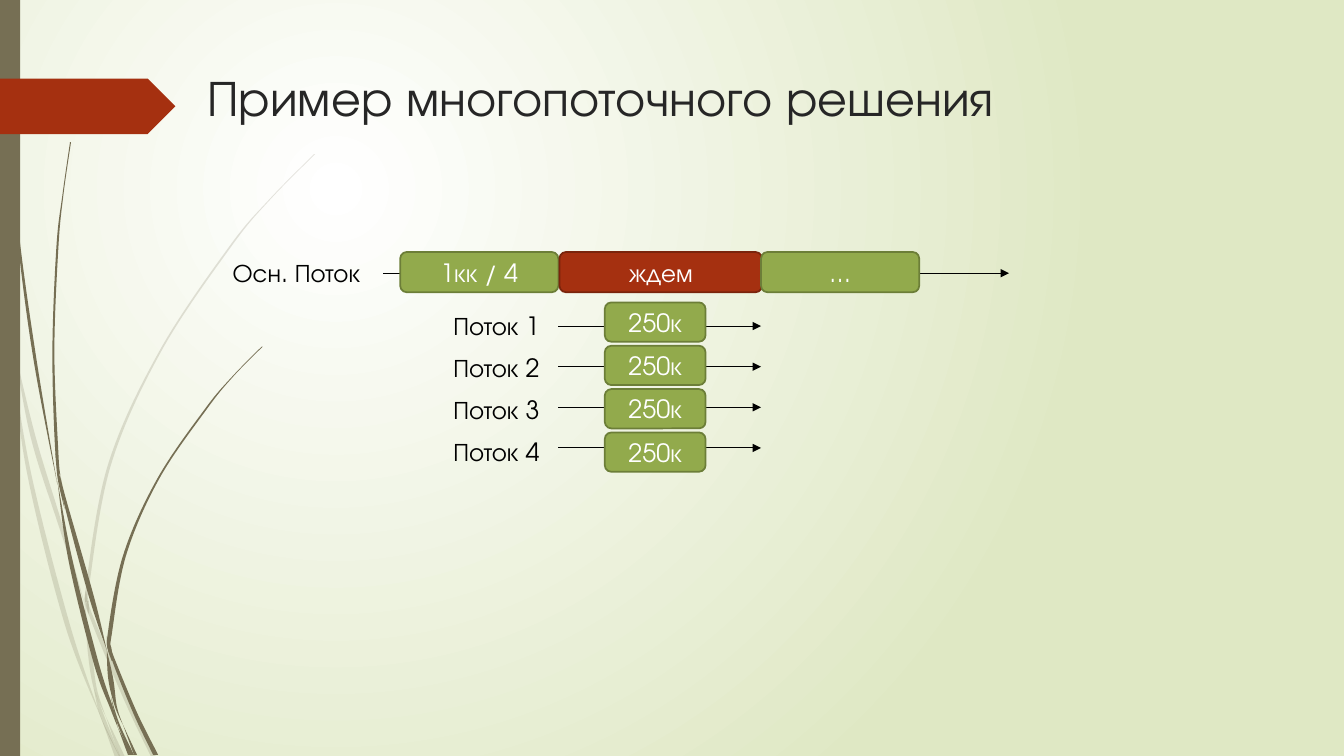
from pptx import Presentation
from pptx.dml.color import RGBColor
from pptx.enum.shapes import MSO_CONNECTOR, MSO_SHAPE
from pptx.enum.text import MSO_ANCHOR, PP_ALIGN
from pptx.oxml.ns import qn
from pptx.util import Emu, Pt
from lxml.etree import SubElement

COLS, ROWS, CELL = 133.33, 75, 91440
FONT = "TeX Gyre Adventor"
GREEN, MOSS, RED, RUST, OLIVE = "92AA4C", "6C7E38", "A53010", "7A240C", "766F54"

FAINT = [
    [(0, 28.2, 0), (0.15, 29.9, 0.3), (0.7, 32.2, 0.4), (1.1, 35, 0)],
    [(1.4, 34.5, 0), (3.3, 43.4, 0.5), (6, 52.1, 0.4), (8.4, 59.9, 0)],
    [(8.8, 59.6, 0), (9, 61, 0.35), (12.5, 69.3, 0.5), (15.25, 75.1, 0.5)],
    [(10.5, 71.1, 0), (12.15, 75.1, 0.5)],
    [(1.1, 35, 0), (2.9, 47, 0.4), (6.7, 62, 0.5), (10.1, 71.4, 0)],
    [(8.4, 59.9, 0), (8.9, 64.6, 0.4), (9.45, 68.3, 0.3), (10.5, 71.1, 0)],
    [(31.2, 15.3, 0.1), (26.8, 19.75, 0.1), (22.85, 24.45, 0.2),
     (15.9, 34.85, 0.2), (10.85, 46.15, 0.3), (8.65, 58.4, 0.3),
     (8.8, 59.6, 0)],
    [(10.1, 71.4, 0), (11.65, 75.1, 0.5)],
    [(8.5, 58.6, 0), (8.6, 59.8, 0.4), (8.8, 61, 0)],
    [(9.3, 68.3, 0), (10.2, 71.2, 0.4), (11.9, 75.1, 0.1)],
]
DARK = [
    [(0.35, 0, 0.1), (0.75, 11, 0.1), (1.8, 23.3, 0.2), (3.45, 35.5, 0.3),
     (5.7, 48.1, 0)],
    [(6, 47.2, 0), (6.4, 49.5, 0.3), (9.05, 59.1, 0.5), (10.6, 64.5, 0)],
    [(11, 64.1, 0), (11.2, 65.3, 0.3), (13.4, 70.7, 0.4), (15.45, 74.9, 0.5)],
    [(5.7, 47.7, 0), (7, 55.6, 0.4), (9.55, 65.8, 0.5), (11.1, 70.3, 0.3),
     (11.7, 72.2, 0)],
    [(7, 14.1, 0.1), (6.25, 19.3, 0.1), (5.7, 24.5, 0.2), (5.3, 34.9, 0.2),
     (5.65, 45, 0.3), (6, 47.2, 0)],
    [(12.2, 71.9, 0), (13.45, 74.9, 0.3)],
    [(5.5, 44.9, 0), (5.85, 47.5, 0.25), (6.4, 50.5, 0)],
    [(26, 34.4, 0.1), (23.1, 37.35, 0.1), (20.45, 40.55, 0.2),
     (15.7, 47.5, 0.2), (12.35, 55.15, 0.3), (10.85, 63.2, 0.4),
     (11, 64.1, 0)],
    [(11.7, 72.2, 0), (12.9, 74.9, 0.4)],
    [(10.6, 64.5, 0), (11, 67.4, 0.5), (11.5, 70.1, 0.2), (12.2, 71.9, 0)],
    [(10.6, 63.1, 0), (10.85, 64.3, 0.4), (11.1, 65.6, 0)],
    [(11, 69.1, 0), (11.75, 71.8, 0.2), (13.15, 74.9, 0.3)],
]


def emu(*cells):
    """Turn grid cells into lengths."""
    return [Emu(round(c * CELL)) for c in cells]


def color(code):
    """Turn a hex string into a colour."""
    return RGBColor.from_string(code)


def write(shape, text, size, ink, wrap=True, center=False):
    """Set the text of a shape and its font."""
    frame = shape.text_frame
    frame.word_wrap = wrap
    frame.vertical_anchor = MSO_ANCHOR.MIDDLE if center else MSO_ANCHOR.TOP
    para = frame.paragraphs[0]
    para.text = text
    para.alignment = PP_ALIGN.CENTER if center else PP_ALIGN.LEFT
    para.font.name, para.font.size = FONT, Pt(size)
    para.font.color.rgb = color(ink)


def paint(shape, fill, edge=None):
    """Fill a shape and draw or drop its outline."""
    shape.shadow.inherit = False
    shape.fill.solid()
    shape.fill.fore_color.rgb = color(fill)
    if edge:
        shape.line.color.rgb = color(edge)
        shape.line.width = Pt(1.25)
    else:
        shape.line.fill.background()


def label(slide, box, text, size=18, ink="000000", wrap=False):
    """Place plain text."""
    write(slide.shapes.add_textbox(*emu(*box)), text, size, ink, wrap)


def block(slide, box, text, fill=GREEN, edge=MOSS):
    """Place a rounded step of a thread."""
    shape = slide.shapes.add_shape(MSO_SHAPE.ROUNDED_RECTANGLE, *emu(*box))
    paint(shape, fill, edge)
    write(shape, text, 18, "FFFFFF", center=True)


def arrow(slide, left, right, y):
    """Draw a level time arrow."""
    line = slide.shapes.add_connector(
        MSO_CONNECTOR.STRAIGHT, *emu(left, y, right, y))
    line.line.color.rgb = color("000000")
    line.line.width = Pt(0.75)
    SubElement(line.line._get_or_add_ln(), qn("a:tailEnd"), type="triangle")
    SubElement(line._element.spPr, qn("a:effectLst"))


def bend(shape, count):
    """Turn the two long sides of a blade into smooth curves."""
    trace = shape._element.spPr.find(".//" + qn("a:path"))
    nodes = list(trace)[:2 * count]
    spots = [(int(n[0].get("x")), int(n[0].get("y"))) for n in nodes]
    for first in (0, count):
        side = spots[first:first + count]
        ends = [side[0], *side, side[-1]]
        for n, (a, b, c, d) in enumerate(zip(ends, ends[1:], ends[2:], ends[3:])):
            curve = SubElement(trace, qn("a:cubicBezTo"))
            lead = [q + (r - p) / 6 for p, q, r in zip(a, b, c)]
            tail = [r - (s - q) / 6 for q, r, s in zip(b, c, d)]
            for x, y in (lead, tail, c):
                SubElement(curve, qn("a:pt"), x=str(round(x)), y=str(round(y)))
            trace.replace(nodes[first + n + 1], curve)


def blade(slide, box, knots, alpha):
    """Draw one tapered blade of grass."""
    left, top = box[:2]
    edge = [emu(left + x - w / 2, top + y) for x, y, w in knots]
    edge += [emu(left + x + w / 2, top + y) for x, y, w in reversed(knots)]
    form = slide.shapes.build_freeform(*edge[0])
    form.add_line_segments(edge[1:])
    shape = form.convert_to_shape()
    bend(shape, len(knots))
    paint(shape, OLIVE)
    if alpha < 100:
        tint = shape._element.spPr.find(".//" + qn("a:srgbClr"))
        SubElement(tint, qn("a:alpha"), val=str(alpha * 1000))


def back(slide):
    """Set the round gradient behind the slide."""
    fill = slide.background.fill
    fill.gradient()
    for stop, code in zip(fill.gradient_stops, ("FFFFFF", "DFE8C4")):
        stop.color.rgb = color(code)
    grad = slide.element.find(".//" + qn("a:gradFill"))
    grad.remove(grad.find(qn("a:lin")))
    ring = SubElement(grad, qn("a:path"), {"path": "circle"})
    SubElement(ring, qn("a:fillToRect"),
               l="50000", t="50000", r="100000", b="100000")


def decor(slide, box):
    """Draw the grass, the side bar and the red tag."""
    x, y, w, h = box
    for group, alpha in ((FAINT, 20), (DARK, 100)):
        for knots in group:
            blade(slide, box, knots, alpha)
    bar = slide.shapes.add_shape(MSO_SHAPE.RECTANGLE, *emu(x, y, 2, h))
    paint(bar, OLIVE)
    tag = slide.shapes.add_shape(MSO_SHAPE.PENTAGON, *emu(x, y + 7.8, w, 5.5))
    paint(tag, RED)


def main_row(slide, box):
    """Lay out the main thread."""
    x, y, w, h = box
    arrow(slide, x + 15.9, x + w, y + 2.1)
    label(slide, (x, y, 16, h), "Осн. Поток")
    block(slide, (x + 17.6, y, 15.7, h), "1кк / 4")
    block(slide, (x + 33.4, y, 20.1, h), "ждем", RED, RUST)
    block(slide, (x + 53.4, y, 15.7, h), "…")


def threads(slide, box, count=4):
    """Lay out the worker threads in rows."""
    x, y, w, h = box
    for n in range(count):
        arrow(slide, x + 11.4, x + w, y + 2.35 + 4.03 * n)
        label(slide, (x, y + 0.3 + 4.15 * n, 11.4, 4), f"Поток {n + 1}")
    for n in range(count):
        block(slide, (x + 16, y + h / count * n, 10, 3.9), "250к")


def main():
    """Build the slide and save it."""
    deck = Presentation()
    deck.slide_width, deck.slide_height = emu(COLS, ROWS)
    slide = deck.slides.add_slide(deck.slide_layouts[6])
    back(slide)
    decor(slide, (0, 0, 17.4, ROWS))
    label(slide, (19.6, 6.1, 97.5, 7.9), "Пример многопоточного решения",
          36, "262626", True)
    main_row(slide, (22.1, 25, 78, 4))
    threads(slide, (44, 30, 31.5, 17.2))
    deck.save("out.pptx")


if __name__ == "__main__":
    main()
